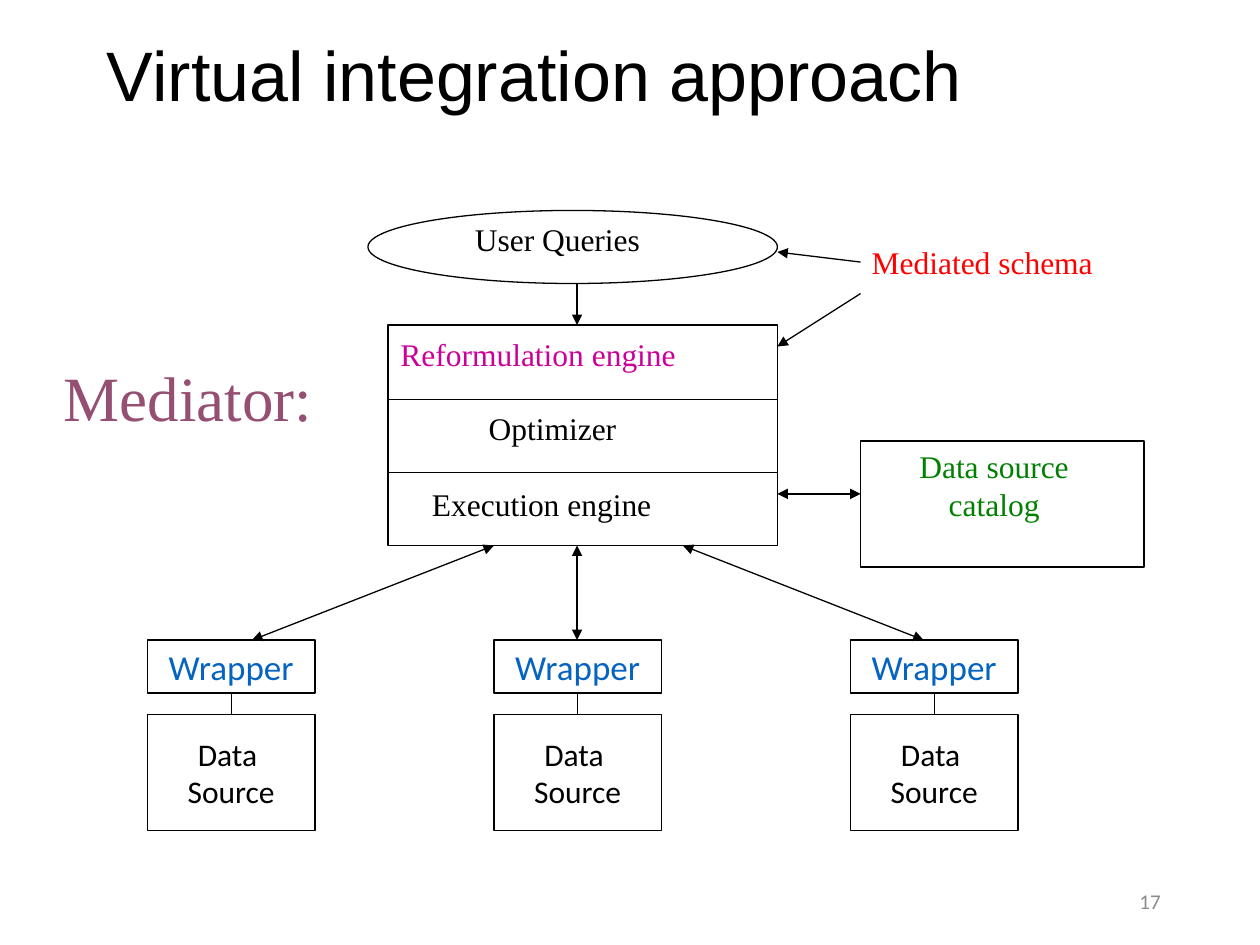
from dataclasses import dataclass

from lxml import etree
from pptx import Presentation
from pptx.dml.color import RGBColor
from pptx.enum.shapes import MSO_CONNECTOR, MSO_SHAPE
from pptx.enum.text import MSO_ANCHOR, PP_ALIGN
from pptx.oxml.ns import qn
from pptx.util import Inches, Pt

RECTANGLE, ELLIPSE = MSO_SHAPE.RECTANGLE, MSO_SHAPE.OVAL
STRAIGHT = MSO_CONNECTOR.STRAIGHT
LEFT, CENTER, RIGHT = PP_ALIGN.LEFT, PP_ALIGN.CENTER, PP_ALIGN.RIGHT
TOP, MIDDLE = MSO_ANCHOR.TOP, MSO_ANCHOR.MIDDLE


@dataclass(frozen=True)
class TextStyle:
    font: str
    size: int
    color: str = "000000"


class Theme:
    line_color = "000000"
    line_width = 0.75
    title = TextStyle("Arial", 40)
    number = TextStyle("Calibri", 12, "8C8C8C")
    heading = TextStyle("Times New Roman", 36, "954F72")
    label = TextStyle("Times New Roman", 18)
    schema = TextStyle("Times New Roman", 18, "FF0000")
    reformulation = TextStyle("Times New Roman", 18, "CC0099")
    catalog = TextStyle("Times New Roman", 18, "008000")
    source = TextStyle("Calibri", 18)
    wrapper = TextStyle("Calibri", 20, "0563C1")


class DiagramSlide:
    def __init__(self, presentation, theme):
        self.theme = theme
        self.slide = presentation.slides.add_slide(presentation.slide_layouts[6])

    def fill_text(self, frame, lines, style, align, anchor, spacing=None):
        frame.vertical_anchor = anchor
        for index, line in enumerate(lines):
            paragraph = frame.add_paragraph() if index else frame.paragraphs[0]
            paragraph.alignment = align
            if spacing:
                paragraph.line_spacing = spacing
            run = paragraph.add_run()
            run.text = line
            run.font.name = style.font
            run.font.size = Pt(style.size)
            run.font.color.rgb = RGBColor.from_string(style.color)

    def text(self, box, lines, style, align=LEFT, anchor=TOP, spacing=None):
        shape = self.slide.shapes.add_textbox(*map(Inches, box))
        shape.text_frame.word_wrap = True
        self.fill_text(shape.text_frame, lines, style, align, anchor, spacing)

    def outline(self, line):
        line.color.rgb = RGBColor.from_string(self.theme.line_color)
        line.width = Pt(self.theme.line_width)

    def box(self, box, lines=(), style=None, kind=RECTANGLE):
        shape = self.slide.shapes.add_shape(kind, *map(Inches, box))
        shape.shadow.inherit = False
        shape.fill.background()
        self.outline(shape.line)
        if lines:
            shape.text_frame.word_wrap = False
            self.fill_text(shape.text_frame, lines, style, CENTER, MIDDLE)

    def line(self, start, end, head=False, tail=False):
        connector = self.slide.shapes.add_connector(
            STRAIGHT, *map(Inches, (*start, *end)))
        self.outline(connector.line)
        properties = connector.element.spPr
        stroke = properties.find(qn("a:ln"))
        for shown, tag in ((head, "a:headEnd"), (tail, "a:tailEnd")):
            if shown:
                etree.SubElement(stroke, qn(tag), type="triangle")
        etree.SubElement(properties, qn("a:effectLst"))


def main():
    presentation = Presentation()
    presentation.slide_width = Inches(10)
    presentation.slide_height = Inches(7.5)
    theme = Theme()
    diagram = DiagramSlide(presentation, theme)

    # Title and slide number
    diagram.text((0.75, 0, 8.52, 1.25), ["Virtual integration approach"],
                 theme.title, anchor=MIDDLE, spacing=0.9)
    diagram.text((7.06, 6.95, 2.25, 0.4), ["17"], theme.number, RIGHT, MIDDLE)

    # Mediator: three stacked engines
    left, right, top, bottom = 3.08, 6.17, 2.58, 4.33
    middle = 4.58
    diagram.box((left, top, right - left, bottom - top))
    for divider in (3.17, 3.75):
        diagram.line((left, divider), (right, divider))
    diagram.text((0.41, 2.8, 2.4, 0.7), ["Mediator:"], theme.heading)
    diagram.text((left, 2.61, 3.11, 0.5), ["Reformulation engine"],
                 theme.reformulation)
    diagram.text((3.78, 3.2, 1.55, 0.5), ["Optimizer"], theme.label)
    diagram.text((3.33, 3.8, 2.52, 0.5), ["Execution engine"], theme.label)

    # User queries and mediated schema
    diagram.box((2.92, 1.67, 3.25, 0.58), kind=ELLIPSE)
    diagram.text((3.67, 1.7, 1.95, 0.5), ["User Queries"], theme.label)
    diagram.line((middle, 2.25), (middle, top), tail=True)
    diagram.text((6.82, 1.88, 2.54, 0.5), ["Mediated schema"], theme.schema)
    diagram.line((6.83, 2.08), (right, 2), tail=True)
    diagram.line((6.83, 2.33), (right, 2.75), tail=True)

    # Data source catalog
    diagram.box((6.83, 3.5, 2.25, 1))
    diagram.text((7, 3.5, 1.78, 0.9), ["Data source", "catalog"],
                 theme.catalog, CENTER)
    diagram.line((right, 3.92), (6.83, 3.92), head=True, tail=True)

    # Wrappers over their sources: box left, arrow foot, arrow top
    width, wrapper_top, wrapper_height, source_top = 1.33, 5.08, 0.42, 5.67
    for box_left, foot, tip in ((1.17, 2, 3.92),
                                (3.92, middle, middle),
                                (6.75, 7.33, 5.42)):
        center = box_left + width / 2
        diagram.box((box_left, wrapper_top, width, wrapper_height),
                    ["Wrapper"], theme.wrapper)
        diagram.box((box_left, source_top, width, 0.92),
                    ["Data ", "Source"], theme.source)
        diagram.line((center, wrapper_top + wrapper_height), (center, source_top))
        diagram.line((foot, wrapper_top), (tip, bottom), head=True, tail=True)

    presentation.save("out.pptx")


if __name__ == "__main__":
    main()
